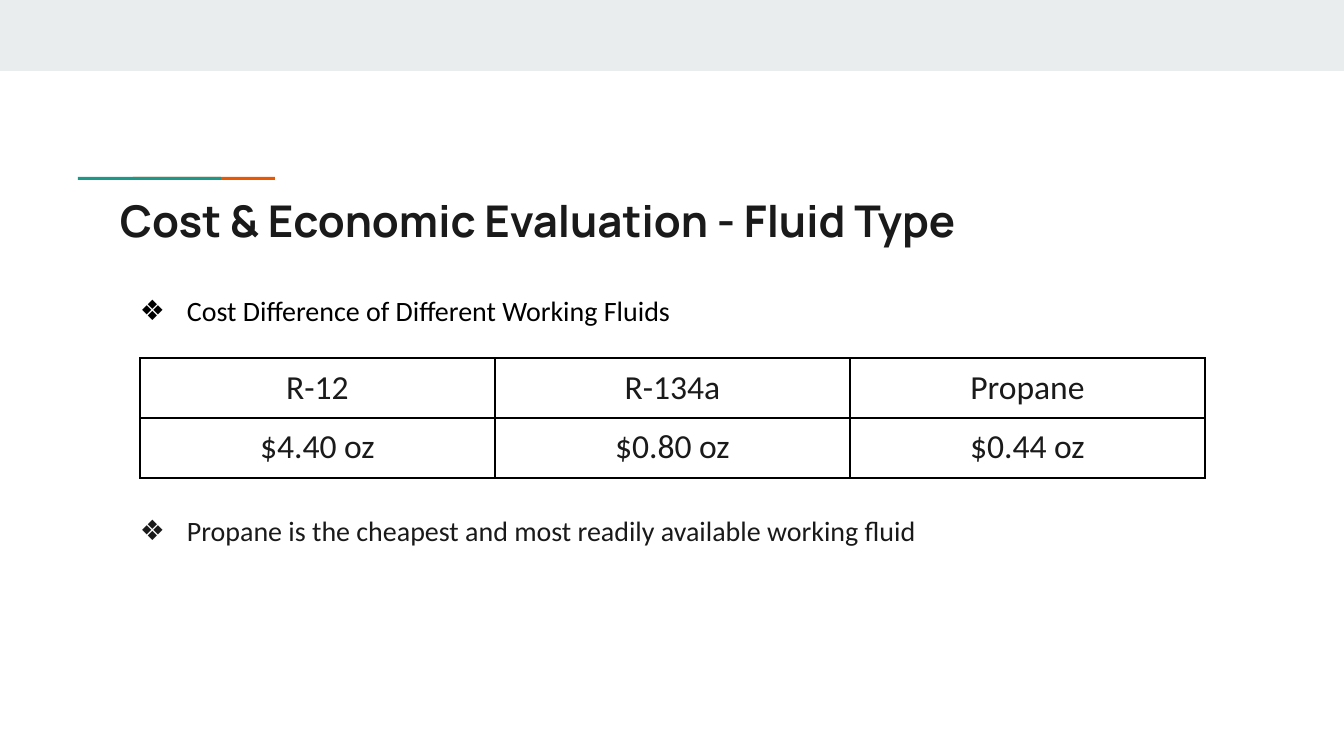
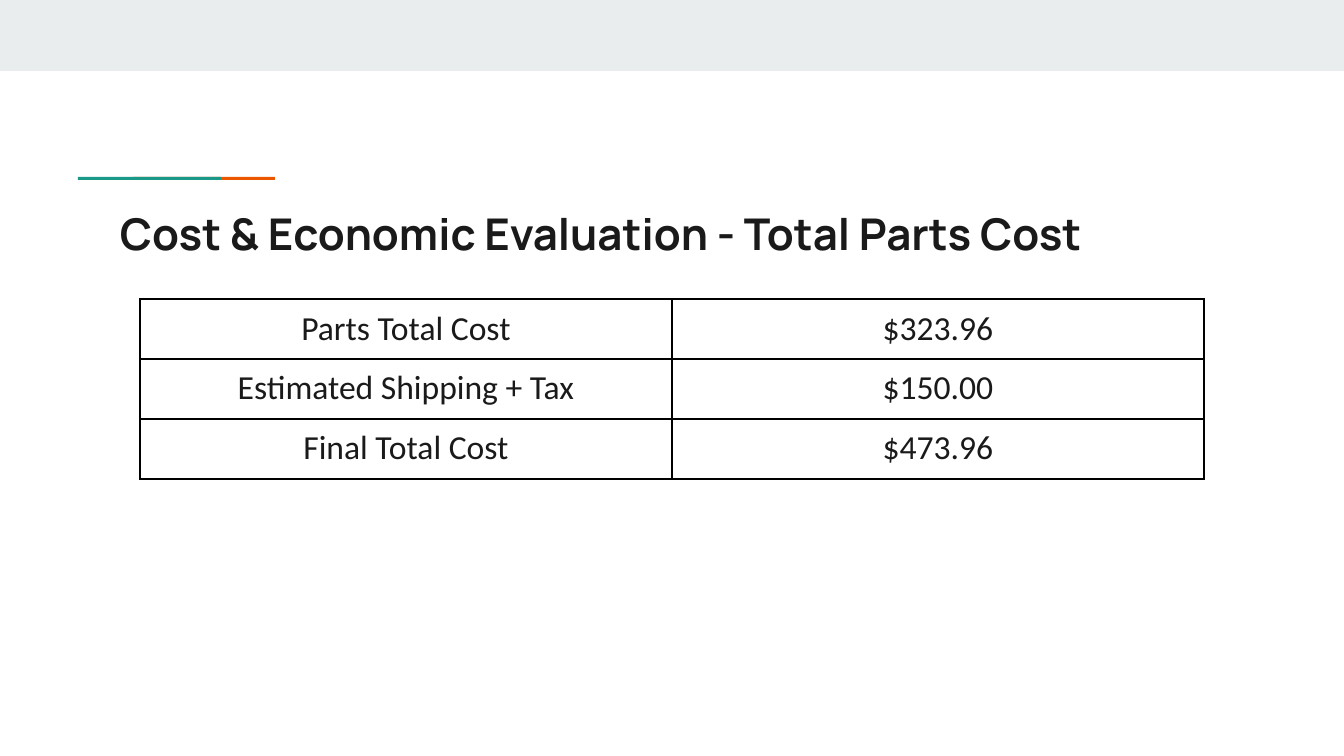
from lxml.etree import SubElement
from pptx import Presentation
from pptx.dml.color import RGBColor
from pptx.enum.shapes import MSO_SHAPE as SHAPE
from pptx.enum.text import MSO_ANCHOR as ANCHOR, PP_ALIGN as ALIGN
from pptx.oxml.ns import qn
from pptx.util import Emu, Pt

INK, BLACK, BAND, TEAL, ORANGE = "1A1A1A", "000000", "E9EDEE", "1A9988", "EB5600"
HEAD_FONT, BODY_FONT = "Manrope", "Calibri"
TABLE_LEFT, TABLE_WIDTH, ROW_HEIGHT = 140, 1064, 60

SLIDES = [
    dict(
        title="Cost & Economic Evaluation - Fluid Type",
        title_top=181,
        # text, colour, space before
        bullets=[
            ("Cost Difference of Different Working Fluids", BLACK, 0),
            ("Propane is the cheapest and most readily available working fluid", INK, 97),
        ],
        table_top=358,
        rows=[("R-12", "R-134a", "Propane"), ("$4.40 oz", "$0.80 oz", "$0.44 oz")],
    ),
    dict(
        title="Cost & Economic Evaluation - Total Parts Cost",
        title_top=194,
        bullets=[],
        table_top=299,
        rows=[
            ("Parts Total Cost", "$323.96"),
            ("Estimated Shipping + Tax", "$150.00"),
            ("Final Total Cost", "$473.96"),
        ],
    ),
]


def px(n):
    """Turn px, at 134.4 to the inch, into EMU."""
    return Emu(round(n * 914400 / 134.4))


def add_run(p, text, font, size, color, bold=False):
    r = p.add_run()
    r.text = text
    r.font.name, r.font.size, r.font.bold = font, Pt(size), bold
    r.font.color.rgb = RGBColor.from_string(color)


prs = Presentation()
prs.slide_width, prs.slide_height = px(1344), px(756)

for page in SLIDES:
    s = prs.slides.add_slide(prs.slide_layouts[6])

    # Top band and the two-colour rule; teal overlaps orange
    for x, y, w, h, color in [
        (0, 0, 1344, 71, BAND),
        (133, 177, 142, 3, ORANGE),
        (78, 177, 143, 3, TEAL),
    ]:
        sp = s.shapes.add_shape(SHAPE.RECTANGLE, px(x), px(y), px(w), px(h))
        sp.shadow.inherit = False
        sp.fill.solid()
        sp.fill.fore_color.rgb = RGBColor.from_string(color)
        sp.line.fill.background()

    # Title, and the bullet list where there is one
    boxes = [(page["title_top"], 79)]
    if page["bullets"]:
        boxes.append((276, 332))
    frames = []
    for top, height in boxes:
        tf = s.shapes.add_textbox(px(107), px(top), px(1130), px(height)).text_frame
        tf.word_wrap = True
        tf.vertical_anchor = ANCHOR.TOP
        tf.margin_left = tf.margin_right = tf.margin_top = tf.margin_bottom = px(13)
        frames.append(tf)
    add_run(frames[0].paragraphs[0], page["title"], HEAD_FONT, 23.4, INK, bold=True)

    for i, (text, color, before) in enumerate(page["bullets"]):
        tf = frames[1]
        p = tf.add_paragraph() if i else tf.paragraphs[0]
        pPr = p._p.get_or_add_pPr()
        pPr.set("marL", str(px(67)))
        pPr.set("indent", str(px(-47)))
        SubElement(SubElement(pPr, qn("a:buClr")), qn("a:srgbClr"), val=color)
        SubElement(pPr, qn("a:buFont"), typeface=BODY_FONT)
        SubElement(pPr, qn("a:buChar"), char="❖")
        p.line_spacing = 1.15
        if before:
            p.space_before = Pt(before)
        add_run(p, text, BODY_FONT, 15, color)

    # Cost table
    rows = page["rows"]
    n_cols = len(rows[0])
    table = s.shapes.add_table(
        len(rows), n_cols, px(TABLE_LEFT), px(page["table_top"]),
        px(TABLE_WIDTH), px(ROW_HEIGHT * len(rows)),
    ).table
    table.first_row = table.horz_banding = False
    for column in table.columns:
        column.width = px(round(TABLE_WIDTH / n_cols))
    for row, texts in zip(table.rows, rows):
        row.height = px(ROW_HEIGHT)
        for cell, text in zip(row.cells, texts):
            cell.margin_left = cell.margin_right = px(9)
            cell.margin_top = cell.margin_bottom = px(9)
            tcPr = cell._tc.get_or_add_tcPr()
            for side in ("lnL", "lnR", "lnT", "lnB"):
                ln = SubElement(tcPr, qn(f"a:{side}"), w=str(Pt(1)))
                SubElement(SubElement(ln, qn("a:solidFill")), qn("a:srgbClr"), val=BLACK)
            cell.fill.background()
            p = cell.text_frame.paragraphs[0]
            p.alignment = ALIGN.CENTER
            add_run(p, text, BODY_FONT, 18, INK)

prs.save("out.pptx")
